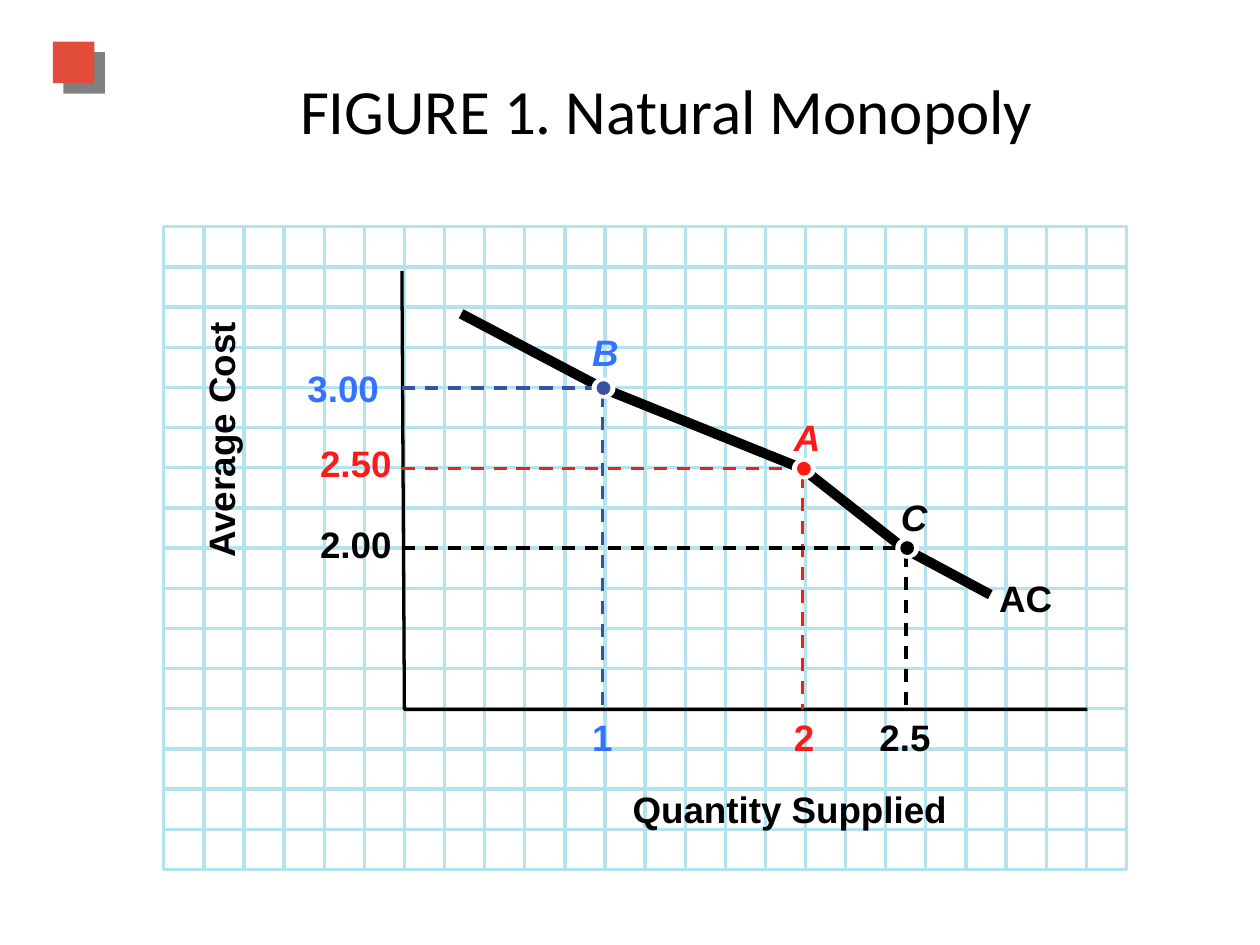
from dataclasses import dataclass

from lxml.etree import SubElement
from pptx import Presentation
from pptx.dml.color import RGBColor
from pptx.enum.dml import MSO_LINE
from pptx.enum.shapes import MSO_CONNECTOR as Connector, MSO_SHAPE as Shape
from pptx.enum.text import MSO_ANCHOR as Anchor, MSO_AUTO_SIZE as AutoSize, PP_ALIGN as Align
from pptx.oxml.ns import qn
from pptx.util import Inches, Pt

COLORS = {
    "black": "000000", "title": "010000", "white": "FFFFFF", "grid": "B3E3EE",
    "accent": "E14D3A", "shadow": "808080", "blue_text": "3373FF",
    "blue": "3A52A3", "red_text": "FF1919", "red": "FE1B0E",
}
COLUMNS, ROWS = 24, 16
LINE_WIDTH = 1.88
AXIS_X, AXIS_Y = 1.89, 3.83
CURVE = [(2.36, 0.69), (3.48, 1.28), (5.07, 1.92), (5.87, 2.55), (6.56, 2.92)]


@dataclass
class CostPoint:
    """A marked point on the average cost curve, relative to the graph."""
    name: str
    x: float
    y: float
    color: str
    text_color: str
    name_box: tuple
    cost: str
    cost_box: tuple
    quantity: str
    quantity_box: tuple


POINTS = [
    CostPoint("B", 3.48, 1.28, "blue", "blue_text", (3.4, 0.82, 0.29, 0.35),
              "3.00", (1.14, 1.1, 0.66, 0.35), "1", (3.4, 3.87, 0.24, 0.35)),
    CostPoint("A", 5.07, 1.92, "red", "red_text", (5, 1.49, 0.29, 0.35),
              "2.50", (1.24, 1.7, 0.65, 0.35), "2", (5, 3.87, 0.24, 0.35)),
    CostPoint("C", 5.89, 2.55, "black", "black", (5.85, 2.13, 0.29, 0.35),
              "2.00", (1.24, 2.34, 0.65, 0.35), "2.5", (5.68, 3.87, 0.49, 0.35)),
]


def rgb(name):
    """Return the named colour."""
    return RGBColor.from_string(COLORS[name])


def add_line(shapes, start, end, color, dashed=False):
    """Add a straight line without a shadow."""
    line = shapes.add_connector(Connector.STRAIGHT, *map(Inches, start + end))
    line.line.color.rgb = rgb(color)
    line.line.width = Pt(LINE_WIDTH)
    if dashed:
        line.line.dash_style = MSO_LINE.DASH
    SubElement(line._element.spPr, qn("a:effectLst"))


def add_shape(shapes, kind, box, fill=None, line=None):
    """Add a preset shape with an optional fill and outline."""
    shape = shapes.add_shape(kind, *map(Inches, box))
    shape.shadow.inherit = False
    if fill:
        shape.fill.solid()
        shape.fill.fore_color.rgb = rgb(fill)
    else:
        shape.fill.background()
    if line:
        shape.line.color.rgb = rgb(line)
        shape.line.width = Pt(LINE_WIDTH)
    else:
        shape.line.fill.background()
    return shape


def add_path(shapes, points, width):
    """Add an open black path through the points."""
    points = [(Inches(x), Inches(y)) for x, y in points]
    builder = shapes.build_freeform(*points[0])
    builder.add_line_segments(points[1:], close=False)
    path = builder.convert_to_shape()
    path.shadow.inherit = False
    path.fill.background()
    path.line.color.rgb = rgb("black")
    path.line.width = Pt(width)


def add_label(shapes, text, box, color="black", italic=False):
    """Add a bold graph label and return its text box."""
    label = shapes.add_textbox(*map(Inches, box))
    frame = label.text_frame
    frame.margin_left = frame.margin_right = frame.margin_top = frame.margin_bottom = 0
    frame.word_wrap = False
    frame.auto_size = AutoSize.SHAPE_TO_FIT_TEXT
    frame.text = text
    font = frame.paragraphs[0].runs[0].font
    font.name, font.size, font.bold, font.italic = "Arial", Pt(21), True, italic
    font.color.rgb = rgb(color)
    return label


def add_title(slide, box):
    """Add the centred figure title."""
    frame = slide.shapes.add_textbox(*map(Inches, box)).text_frame
    frame.word_wrap = True
    frame.vertical_anchor = Anchor.MIDDLE
    frame.text = "FIGURE 1. Natural Monopoly"
    para = frame.paragraphs[0]
    para.alignment = Align.CENTER
    para._p.get_or_add_pPr().set("indent", str(Inches(0.5)))
    font = para.runs[0].font
    font.name, font.size = "Calibri", Pt(36)
    font.color.rgb = rgb("title")


def add_ornament(slide, box):
    """Add the corner square with its hard shadow."""
    square = add_shape(slide.shapes, Shape.RECTANGLE, box, "accent")
    effects = square._element.spPr.find(qn("a:effectLst"))
    shadow = SubElement(effects, qn("a:outerShdw"), dist=str(Pt(8.5)),
                        dir="2700000", algn="ctr", rotWithShape="0")
    SubElement(shadow, qn("a:srgbClr"), val=COLORS["shadow"])


def add_grid(slide, box):
    """Add the squared paper behind the graph."""
    left, top, width, height = box
    for row in range(1, ROWS):
        y = top + row * height / ROWS
        add_line(slide.shapes, (left, y), (left + width, y), "grid")
    for column in range(1, COLUMNS):
        x = left + column * width / COLUMNS
        add_line(slide.shapes, (x, top + height), (x, top), "grid")
    add_shape(slide.shapes, Shape.RECTANGLE, box, line="grid")


def add_point(slide, left, top, point):
    """Add a point with its guides, marker and name as one group."""
    shapes = slide.shapes.add_group_shape().shapes
    x, y = left + point.x, top + point.y
    add_line(shapes, (left + AXIS_X, y), (x - 0.05, y), point.color, True)
    add_line(shapes, (x, y + 0.05), (x, top + AXIS_Y), point.color, True)
    for width, height, fill in ((0.19, 0.17, "white"), (0.11, 0.11, point.color)):
        marker = (x + 0.01 - width / 2, y - height / 2, width, height)
        add_shape(shapes, Shape.OVAL, marker, fill)
    add_label(shapes, point.name, shift(point.name_box, left, top), point.text_color, True)


def shift(box, left, top):
    """Move a box by the graph's corner."""
    return (left + box[0], top + box[1]) + tuple(box[2:])


def add_graph(slide, box):
    """Add the axes, the average cost curve, its points and labels."""
    left, top = box[:2]
    shapes = slide.shapes
    add_grid(slide, box)
    axes = [(AXIS_X, 0.35), (AXIS_X + 0.02, AXIS_Y), (7.33, AXIS_Y)]
    add_path(shapes, [shift(spot, left, top) for spot in axes], LINE_WIDTH)
    curve = shapes.add_group_shape().shapes
    add_path(curve, [shift(spot, left, top) for spot in CURVE], 5.75)
    add_label(curve, "AC", shift((6.63, 2.77, 0.5, 0.35), left, top))
    cost_title = add_label(shapes, "Average Cost", shift((-0.53, 1.47, 1.96, 0.35), left, top))
    cost_title.rotation = 270
    add_label(shapes, "Quantity Supplied", shift((3.72, 4.44, 2.58, 0.35), left, top))
    for point in POINTS:
        add_label(shapes, point.cost, shift(point.cost_box, left, top), point.text_color)
        add_label(shapes, point.quantity, shift(point.quantity_box, left, top), point.text_color)
    for point in POINTS:
        add_point(slide, left, top, point)


def main():
    """Build the slide and save the deck."""
    deck = Presentation()
    deck.slide_width, deck.slide_height = Inches(10), Inches(7.5)
    slide = deck.slides.add_slide(deck.slide_layouts[6])
    add_title(slide, (0.25, 0.24, 9.58, 1.25))
    add_ornament(slide, (0.42, 0.33, 0.33, 0.33))
    add_graph(slide, (1.3, 1.8, 7.64, 5.1))
    deck.save("out.pptx")


if __name__ == "__main__":
    main()
